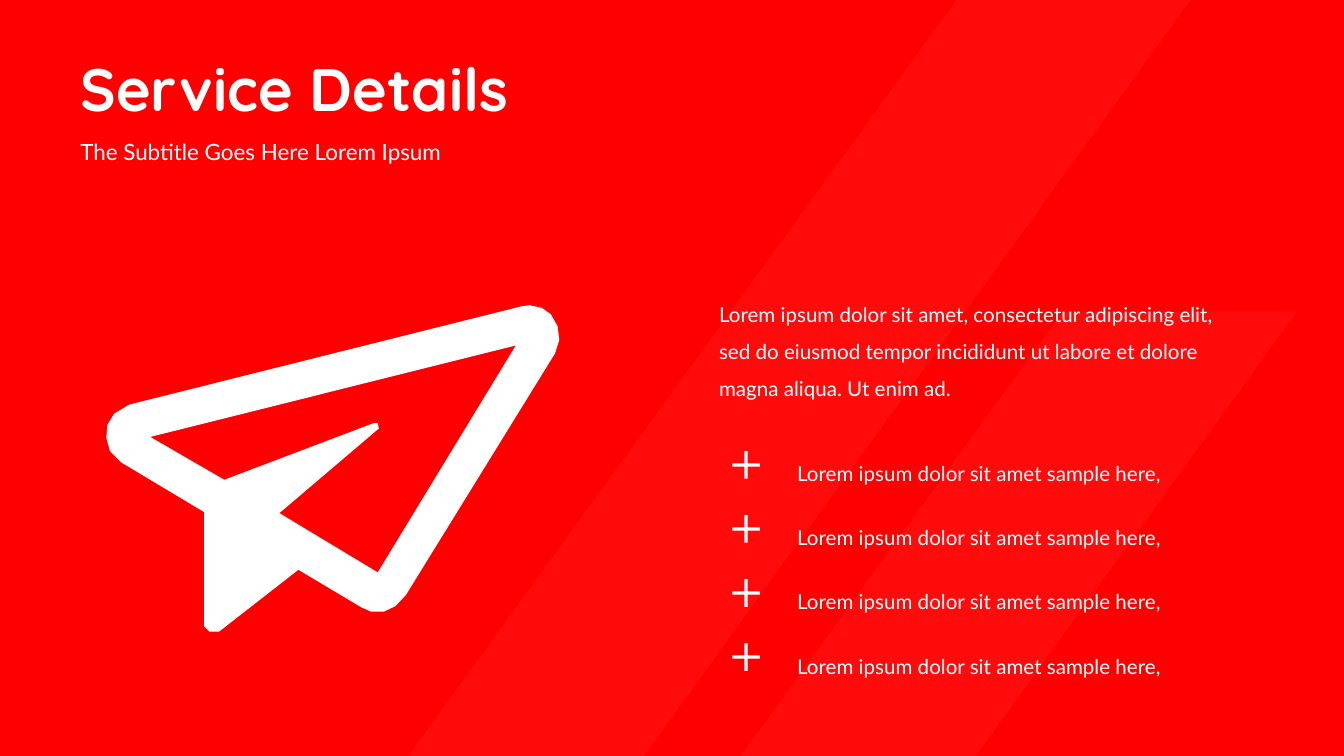
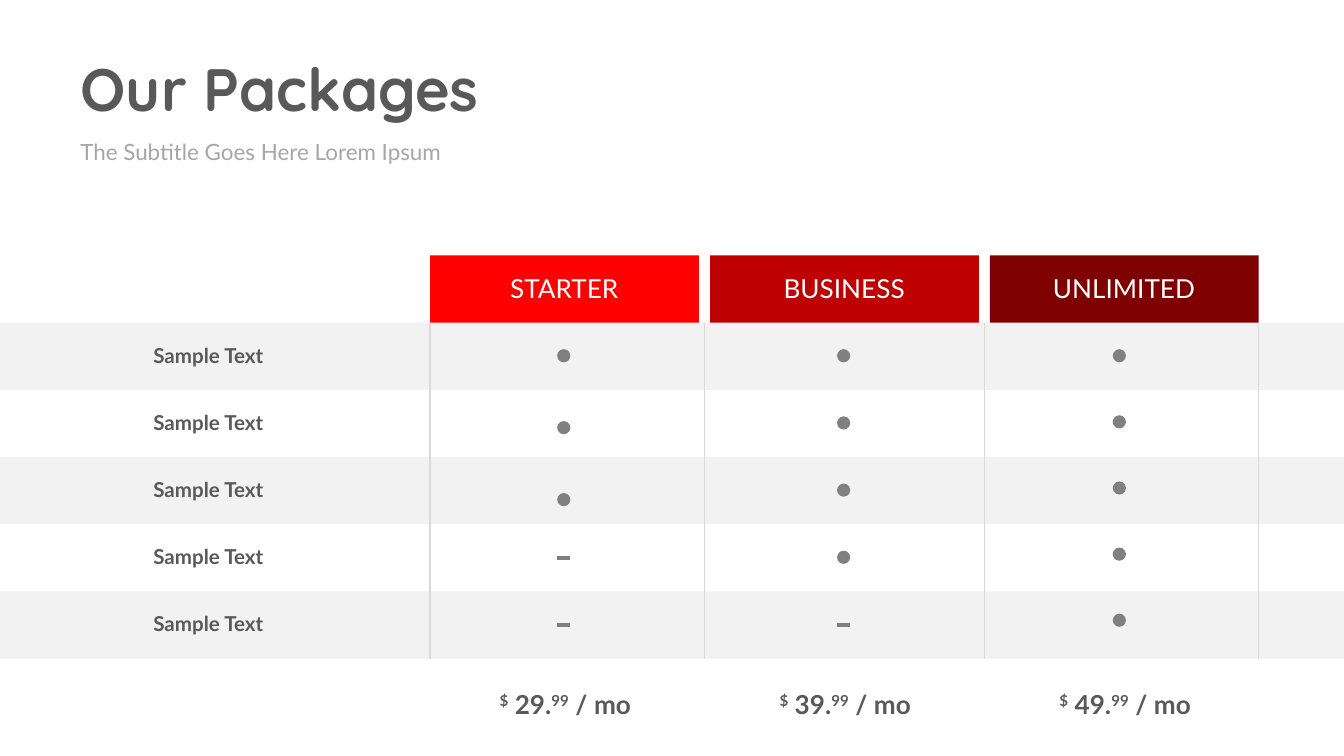
from pptx import Presentation
from pptx import util as u
from pptx.dml.color import RGBColor
from pptx.enum import shapes, text
from pptx.oxml.ns import qn
from lxml import etree

HUES = {
    "white": "FFFFFF", "red": "FF0000", "ruby": "BF0000", "wine": "7F0000",
    "blush": "FFEBEB", "dark": "595959", "mid": "808080", "soft": "A6A6A6",
    "rule": "D9D9D9", "pale": "F2F2F2",
}
FONTS = {
    "title": {"name": "Quicksand", "size": u.Pt(32), "bold": True},
    "sub": {"name": "Lato", "size": u.Pt(12), "bold": False},
    "text": {"name": "Lato", "size": u.Pt(11), "bold": False},
    "label": {"name": "Lato", "size": u.Pt(11), "bold": True},
    "head": {"name": "Lato", "size": u.Pt(14), "bold": False},
    "price": {"name": "Lato", "size": u.Pt(14), "bold": True},
}
BANDS = [
    [(20.09, 5.89), (24.51, 5.89), (18.44, 14.29), (14, 14.29)],
    [(18.08, 0), (22.5, 0), (12.17, 14.29), (7.72, 14.29)],
]
PLANE = [
    [(9.75, 6.53), (2.84, 8.26), (4.24, 9.07), (7.06, 8), (7.14, 8),
     (7.16, 8.1), (5.28, 9.7), (7.14, 10.82)],
    [(10.01, 5.77), (10.24, 5.82), (10.41, 5.94), (10.54, 6.17), (10.57, 6.43),
     (10.49, 6.68), (7.67, 11.25), (7.47, 11.46), (7.26, 11.56), (7.01, 11.56),
     (6.83, 11.48), (5.64, 10.77), (4.14, 11.94), (3.96, 11.94), (3.86, 11.84),
     (3.86, 9.68), (2.29, 8.74), (2.08, 8.53), (2.01, 8.28), (2.03, 8.03),
     (2.16, 7.82), (2.44, 7.65), (9.86, 5.79)],
]
PLANS = [
    ("STARTER", "29", "red", 3, 10.53, 1.36),
    ("BUSINESS", "39", "ruby", 4, 15.82, 1.27),
    ("UNLIMITED", "49", "wine", 5, 21.03, 1.25),
]
LEFT, STEP, WIDE = 8.13, 5.29, 5.08
TOP, ROW, ROWS = 6.1, 1.27, 5


def hue(key):
    return RGBColor.from_string(HUES[key])


def apply(item, **vals):
    for key, val in vals.items():
        setattr(item, key, val)


class Deck:
    """Hold the shared style and the current slide."""

    def __init__(self):
        self.show = Presentation()
        apply(self.show, slide_width=u.Cm(25.4), slide_height=u.Cm(14.29))

    def page(self, lay, back, title, ink, tint):
        self.slide = self.show.slides.add_slide(self.show.slide_layouts[lay])
        self.items = self.slide.shapes
        fill = self.slide.background.fill
        fill.solid()
        fill.fore_color.rgb = hue(back)
        self.words(self.items.title, (1.27, 0.86, 15.88, 1.63), [title], "title", ink)
        self.note((1.27, 2.49, 12.07, 0.76), "The Subtitle Goes Here Lorem Ipsum", "sub", tint)

    def words(self, box, spot, lines, font, ink, mid=False, lead=1, gap=0):
        names = ("left", "top", "width", "height")
        apply(box, **dict(zip(names, map(u.Cm, spot))))
        frame = box.text_frame
        apply(frame, word_wrap=True, vertical_anchor=text.MSO_ANCHOR.TOP,
              auto_size=text.MSO_AUTO_SIZE.SHAPE_TO_FIT_TEXT)
        align = text.PP_ALIGN.CENTER if mid else text.PP_ALIGN.LEFT
        for num, line in enumerate(lines):
            para = frame.add_paragraph() if num else frame.paragraphs[0]
            if box.is_placeholder:
                props = para._p.get_or_add_pPr()
                for key in ("marL", "indent"):
                    props.set(key, "0")
                etree.SubElement(props, qn("a:buNone"))
            apply(para, alignment=align, line_spacing=float(lead),
                  space_before=u.Pt(gap if num else 0))
            for part in [line] if isinstance(line, str) else line:
                word, high = part if isinstance(part, tuple) else (part, False)
                run = para.add_run()
                run.text = word
                apply(run.font, **FONTS[font])
                run.font.color.rgb = hue(ink)
                if high:
                    run._r.get_or_add_rPr().set("baseline", "30000")

    def note(self, spot, line, font, ink, **opts):
        box = self.items.add_textbox(*map(u.Cm, spot))
        self.words(box, spot, [line], font, ink, **opts)

    def paint(self, item, ink):
        item.shadow.inherit = False
        item.fill.solid()
        item.fill.fore_color.rgb = hue(ink)
        item.line.fill.background()
        return item

    def block(self, kind, spot, ink):
        return self.paint(self.items.add_shape(kind, *map(u.Cm, spot)), ink)

    def form(self, rings, ink):
        rings = [[(round(x * 100), round(y * 100)) for x, y in ring] for ring in rings]
        pen = self.items.build_freeform(*rings[0][0], scale=u.Cm(0.01))
        for num, ring in enumerate(rings):
            if num:
                pen.move_to(*ring[0])
            pen.add_line_segments(ring[1:], close=True)
        return self.paint(pen.convert_to_shape(), ink)

    def bands(self):
        band = self.form(BANDS, "blush")._element
        tone = next(band.spPr.iter(qn("a:srgbClr")))
        etree.SubElement(tone, qn("a:alpha")).set("val", "5000")
        self.items._spTree.insert(2, band)

    def plus(self, x, y, arm=0.26, half=0.03):
        quart = [(half, -arm), (half, -half), (arm, -half)]
        ring = []
        for _ in range(4):
            ring += [(x + a, y + b) for a, b in quart]
            quart = [(-b, a) for a, b in quart]
        self.form([ring], "white")

    def rule(self, ends, ink, thick):
        line = self.items.add_connector(shapes.MSO_CONNECTOR.STRAIGHT, *map(u.Cm, ends))
        line.line.color.rgb = hue(ink)
        line.line.width = u.Pt(thick)
        etree.SubElement(line._element.spPr, qn("a:effectLst"))


def service(deck):
    deck.page(1, "red", "Service Details", "white", "white")
    deck.bands()
    deck.form(PLANE, "white")
    deck.note((13.34, 5.36, 10.36, 2.29),
              "Lorem ipsum dolor sit amet, consectetur adipiscing elit, sed do eiusmod "
              "tempor incididunt ut labore et dolore magna aliqua. Ut enim ad.",
              "text", "white", lead=1.5)
    lines = ["Lorem ipsum dolor sit amet sample here,"] * 4
    deck.words(deck.slide.placeholders[1], (14.81, 8.36, 8.74, 4.5), lines,
               "text", "white", lead=1.5, gap=14.5)
    for num in range(len(lines)):
        deck.plus(14.1, 8.79 + 1.21 * num)


def prices(deck):
    deck.page(5, "white", "Our Packages", "dark", "soft")
    rect, dot = shapes.MSO_SHAPE.RECTANGLE, shapes.MSO_SHAPE.OVAL
    for row in range(0, ROWS, 2):
        deck.block(rect, (0, TOP + ROW * row, 25.4, ROW), "pale")
    for row in range(ROWS):
        deck.note((2.34, TOP + 0.25 + ROW * row, 3.2, 0.74), "Sample Text",
                  "label", "dark", mid=True)
    edge = (STEP - WIDE) / 2
    last = LEFT + STEP * 2 + WIDE
    for x in (LEFT, LEFT + STEP - edge, LEFT + STEP * 2 - edge, last):
        deck.rule((x, TOP, x, TOP + ROW * ROWS), "rule", 0.75)
    for col, (name, cost, ink, count, mark, pitch) in enumerate(PLANS):
        x = LEFT + STEP * col
        deck.block(rect, (x, TOP - ROW, WIDE, ROW), ink)
        deck.note((x + 0.31, 5.03, 4.45, 0.86), name, "head", "white", mid=True)
        for row in range(count):
            deck.block(dot, (mark, 6.6 + pitch * row, 0.25, 0.25), "mid")
        for row in range(count, ROWS):
            y = TOP + ROW * (row + 0.5)
            deck.rule((mark, y, mark + 0.25, y), "mid", 2.25)
        deck.note((x + 0.55, 12.88, 4.01, 0.86),
                  [("$", True), f" {cost}.", ("99", True), " / mo"],
                  "price", "dark", mid=True)


def main():
    deck = Deck()
    service(deck)
    prices(deck)
    deck.show.save("out.pptx")


if __name__ == "__main__":
    main()
